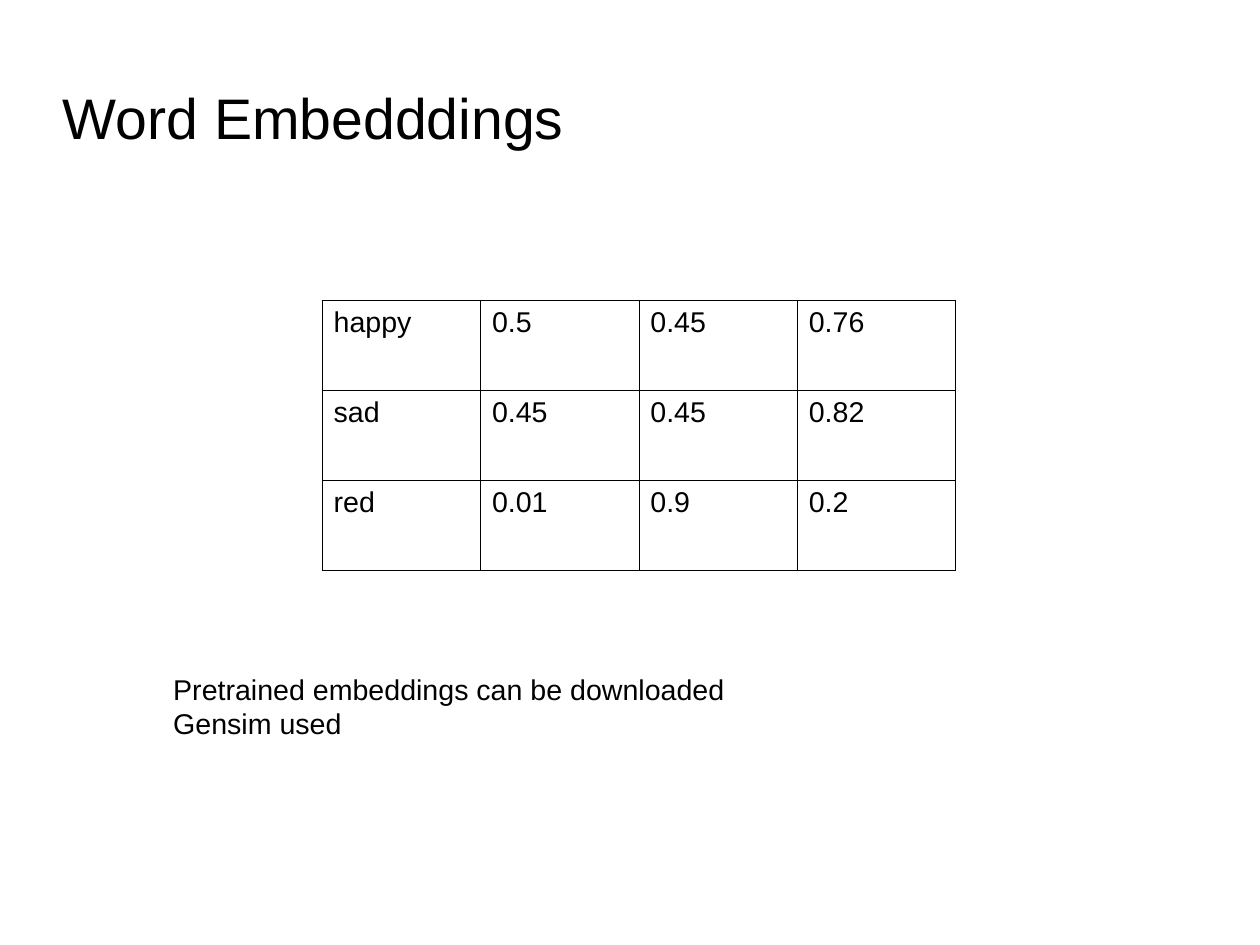
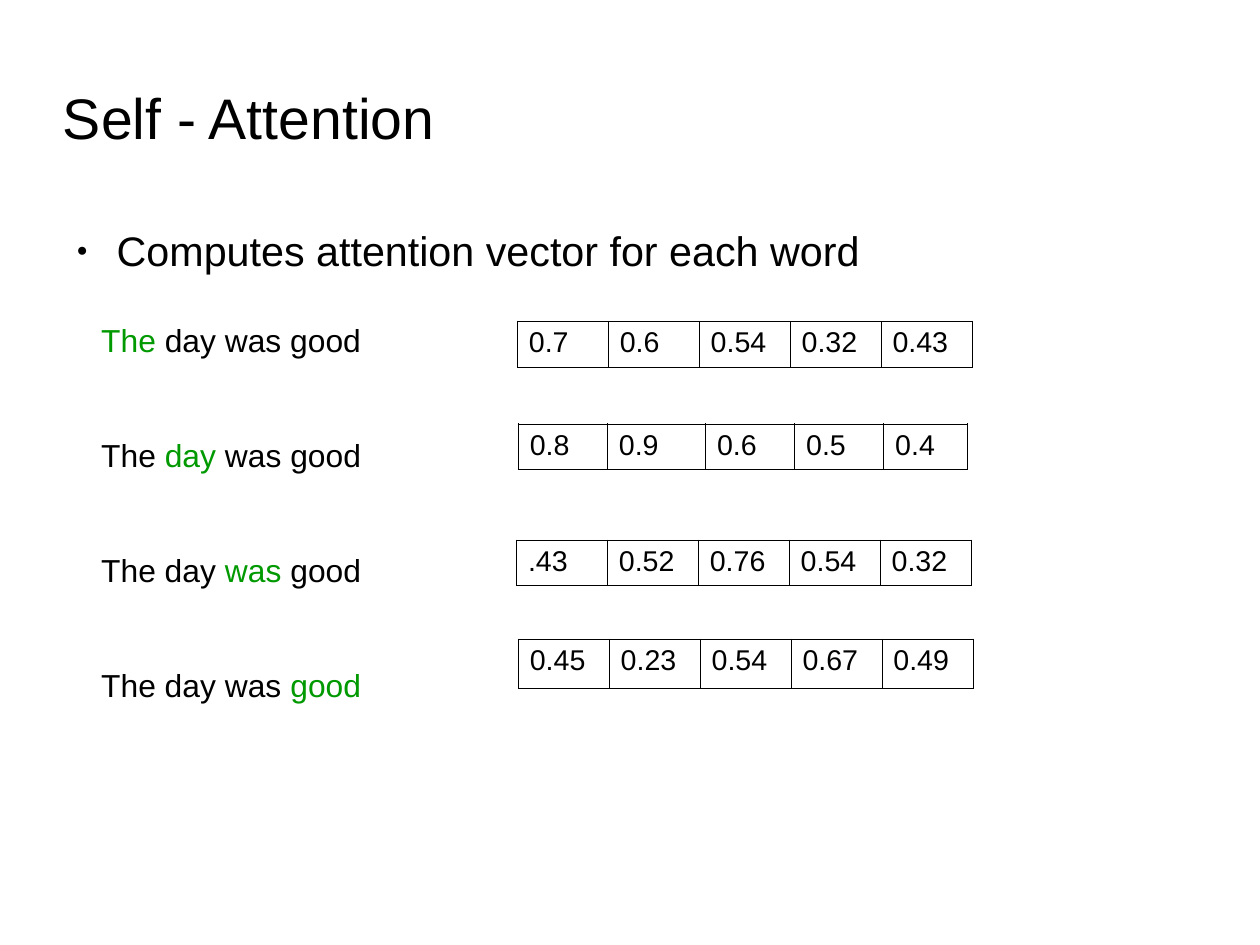
import pptx
import pptx.dml.color
import pptx.enum.text
import pptx.oxml
import pptx.oxml.ns
import pptx.util

BLACK = pptx.dml.color.RGBColor(0x00, 0x00, 0x00)
GREEN = pptx.dml.color.RGBColor(0x00, 0x99, 0x00)
FONT = "Arial"
TOP = pptx.enum.text.MSO_ANCHOR.TOP
MIDDLE = pptx.enum.text.MSO_ANCHOR.MIDDLE
BORDER_WIDTH = pptx.util.Pt(0.57)
NAMESPACE = pptx.oxml.ns.nsdecls("a")

# The slide is a grid of square units, 14 columns by 10.5 rows.
UNIT = pptx.util.Cm(2)
COLUMNS, ROWS = 14, 10.5
TITLE_BOX = (0.7, 0.8, 10, 1)


def add_text(slide, text, box, size=18, margins=(0.1, 0.05), anchor=TOP, space_after=0):
    """Add a text box; text is a string or a list of paragraphs of (words, colour) runs."""
    shape = slide.shapes.add_textbox(*(int(UNIT * length) for length in box))
    frame = shape.text_frame
    frame.word_wrap = True
    frame.vertical_anchor = anchor
    frame.margin_left = frame.margin_right = pptx.util.Inches(margins[0])
    frame.margin_top = frame.margin_bottom = pptx.util.Inches(margins[1])
    lines = [[(text, BLACK)]] if isinstance(text, str) else text
    for index, line in enumerate(lines):
        paragraph = frame.add_paragraph() if index else frame.paragraphs[0]
        paragraph.space_after = pptx.util.Pt(space_after)
        for words, color in line:
            run = paragraph.add_run()
            run.text = words
            run.font.name = FONT
            run.font.size = pptx.util.Pt(size)
            run.font.color.rgb = color
    return frame


def add_bordered_table(slide, values, left, top, widths, row_height):
    """Add an unfilled table with thin black borders, measured in grid units."""
    lengths = (left, top, sum(widths), row_height * len(values))
    table = slide.shapes.add_table(
        len(values), len(widths), *(int(UNIT * length) for length in lengths)
    ).table
    table.first_row = table.horz_banding = False
    for column, width in zip(table.columns, widths):
        column.width = int(UNIT * width)
    for row, row_values in zip(table.rows, values):
        row.height = int(UNIT * row_height)
        for cell, value in zip(row.cells, row_values):
            cell.text = value
            font = cell.text_frame.paragraphs[0].runs[0].font
            font.name, font.size = FONT, pptx.util.Pt(18)
            font.color.rgb = BLACK
            cell.fill.background()
            properties = cell._tc.get_or_add_tcPr()
            for position, side in enumerate(("lnL", "lnR", "lnT", "lnB")):
                properties.insert(position, pptx.oxml.parse_xml(
                    f'<a:{side} {NAMESPACE} w="{BORDER_WIDTH}"><a:solidFill>'
                    f'<a:srgbClr val="{BLACK}"/></a:solidFill></a:{side}>'
                ))


presentation = pptx.Presentation()
presentation.slide_width = int(UNIT * COLUMNS)
presentation.slide_height = int(UNIT * ROWS)

slides = []
for title in ("Word Embedddings", "Self - Attention"):
    slide = presentation.slides.add_slide(presentation.slide_layouts[6])
    add_text(slide, title, TITLE_BOX, size=36, margins=(0, 0), anchor=MIDDLE)
    slides.append(slide)
embeddings_slide, attention_slide = slides

# Word embeddings
embeddings = [
    ("happy", "0.5", "0.45", "0.76"),
    ("sad", "0.45", "0.45", "0.82"),
    ("red", "0.01", "0.9", "0.2"),
]
add_bordered_table(embeddings_slide, embeddings, 3.58, 3.34, [1.76] * 4, 1)
add_text(embeddings_slide, "Pretrained embeddings can be downloaded Gensim used",
         (1.8, 7.4, 6.5, 0.84))

# Self-attention
body = add_text(attention_slide, "Computes attention vector for each word",
                (0.7, 2.5, 12.6, 6.08), size=26, margins=(0, 0), space_after=14.2)
bullet = body.paragraphs[0]._p.get_or_add_pPr()
bullet.set("marL", str(pptx.util.Inches(0.47)))
bullet.set("indent", str(pptx.util.Inches(-0.35)))
for markup in (
    f'<a:buClr {NAMESPACE}><a:srgbClr val="{BLACK}"/></a:buClr>',
    f'<a:buSzPct {NAMESPACE} val="45000"/>',
    f'<a:buFont {NAMESPACE} typeface="{FONT}"/>',
    f'<a:buChar {NAMESPACE} char="●"/>',
):
    bullet.append(pptx.oxml.parse_xml(markup))

words = ["The", " day", " was", " good"]
sentences = [
    [(word, GREEN if index == focus else BLACK) for index, word in enumerate(words)]
    for focus in range(len(words))
]
add_text(attention_slide, sentences, (1, 3.5, 8.3, 5.25), size=20, space_after=48.5)

attention_vectors = [
    (("0.7", "0.6", "0.54", "0.32", "0.43"), 5.75, 3.57, [1.01] * 5, 0.51),
    (("0.8", "0.9", "0.6", "0.5", "0.4"), 5.76, 4.71, [0.99, 1.09, 0.99, 0.99, 0.93], 0.51),
    ((".43", "0.52", "0.76", "0.54", "0.32"), 5.74, 6, [1.01] * 5, 0.5),
    (("0.45", "0.23", "0.54", "0.67", "0.49"), 5.76, 7.1, [1.01] * 5, 0.55),
]
for values, left, top, widths, row_height in attention_vectors:
    add_bordered_table(attention_slide, [values], left, top, widths, row_height)

presentation.save("out.pptx")
